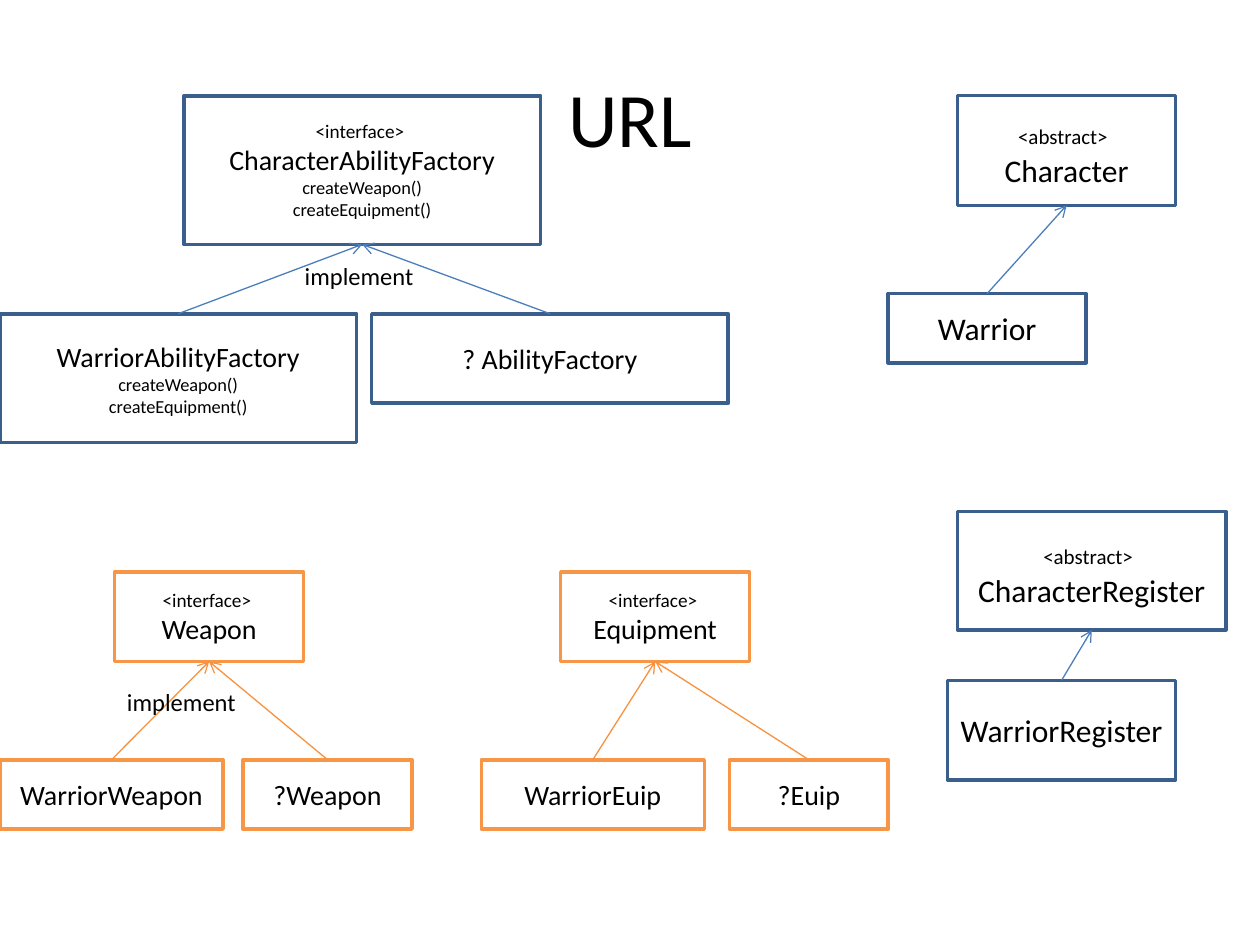
from dataclasses import dataclass

from pptx import Presentation
from pptx.dml.color import RGBColor
from pptx.enum.shapes import MSO_CONNECTOR, MSO_SHAPE
from pptx.enum.text import MSO_ANCHOR, MSO_AUTO_SIZE, PP_ALIGN
from pptx.oxml.ns import qn
from pptx.util import Inches, Pt
from lxml.etree import SubElement


@dataclass(frozen=True)
class Palette:
    """Colours of one family of boxes."""
    outline: str
    arrow: str
    fill: str | None = None


@dataclass(frozen=True)
class Theme:
    """Colours, font and type sizes of the slide."""
    factory: Palette = Palette("3A5F8C", "4B7EBC")
    item: Palette = Palette("F79646", "F69240", "FFFFFF")
    text: str = "000000"
    font: str = "Calibri"
    title: float = 44
    character: float = 18
    name: float = 16
    label: float = 14
    abstract: float = 12
    interface: float = 11
    method: float = 10.5


THEME = Theme()
INTERFACE = [("<interface> ", THEME.interface)]
ABSTRACT = [("<abstract>", THEME.abstract), (" ", THEME.character)]
METHODS = [[("createWeapon()", THEME.method)], [("createEquipment()", THEME.method)]]


def format_run(run, size):
    """Apply the theme font to a run."""
    run.font.size = Pt(size)
    run.font.name = THEME.font
    run.font.color.rgb = RGBColor.from_string(THEME.text)


def named(text, size=THEME.name):
    """Return a line made of a single run."""
    return [(text, size)]


def add_title(slide, text):
    """Place and format the slide title."""
    title = slide.shapes.title
    title.left, title.top = Inches(0.5), Inches(0.3)
    title.width, title.height = Inches(9), Inches(1.25)
    title.text_frame.text = text
    title.text_frame.vertical_anchor = MSO_ANCHOR.MIDDLE
    paragraph = title.text_frame.paragraphs[0]
    paragraph.alignment = PP_ALIGN.CENTER
    format_run(paragraph.runs[0], THEME.title)


def add_class_box(slide, palette, bounds, lines):
    """Add an outlined class box with centred lines of text."""
    shape = slide.shapes.add_shape(MSO_SHAPE.FLOWCHART_PROCESS, *map(Inches, bounds))
    shape.shadow.inherit = False
    if palette.fill:
        shape.fill.solid()
        shape.fill.fore_color.rgb = RGBColor.from_string(palette.fill)
    else:
        shape.fill.background()
    shape.line.color.rgb = RGBColor.from_string(palette.outline)
    shape.line.width = Pt(2)
    text_frame = shape.text_frame
    text_frame.word_wrap = True
    text_frame.vertical_anchor = MSO_ANCHOR.MIDDLE
    for index, line in enumerate(lines):
        paragraph = text_frame.add_paragraph() if index else text_frame.paragraphs[0]
        paragraph.alignment = PP_ALIGN.CENTER
        for text, size in line:
            run = paragraph.add_run()
            run.text = text
            format_run(run, size)
    return shape


def add_inheritance(slide, palette, child, parent):
    """Draw an arrow from the top of a child to the bottom of its parent."""
    connector = slide.shapes.add_connector(MSO_CONNECTOR.STRAIGHT, 0, 0, 0, 0)
    connector.begin_connect(child, 0)
    connector.end_connect(parent, 2)
    connector.line.color.rgb = RGBColor.from_string(palette.arrow)
    connector.line.width = Pt(0.75)
    SubElement(connector.line._get_or_add_ln(), qn("a:tailEnd"), type="arrow")
    SubElement(connector._element.spPr, qn("a:effectLst"))


def add_family(slide, palette, parent, children):
    """Add a parent box and the child boxes that point to it."""
    parent_box = add_class_box(slide, palette, *parent)
    for child in children:
        child_box = add_class_box(slide, palette, *child)
        add_inheritance(slide, palette, child_box, parent_box)


def add_label(slide, left, top, text):
    """Add a free label beside the arrows."""
    box = slide.shapes.add_textbox(Inches(left), Inches(top), Inches(1.07), Inches(0.34))
    text_frame = box.text_frame
    text_frame.text = text
    text_frame.word_wrap = False
    text_frame.auto_size = MSO_AUTO_SIZE.SHAPE_TO_FIT_TEXT
    format_run(text_frame.paragraphs[0].runs[0], THEME.label)


def main():
    """Build and save the class diagram."""
    presentation = Presentation()
    presentation.slide_width, presentation.slide_height = Inches(10), Inches(7.5)
    slide = presentation.slides.add_slide(presentation.slide_layouts[5])
    add_title(slide, "URL")

    families = [
        (THEME.factory,
         ((1.46, 0.76, 2.83, 1.18), [INTERFACE, named("CharacterAbilityFactory"), *METHODS]),
         [((0, 2.49, 2.83, 1.02), [named("WarriorAbilityFactory"), *METHODS]),
          ((2.95, 2.49, 2.83, 0.71), [named("? AbilityFactory")])]),
        (THEME.item,
         ((0.91, 4.54, 1.5, 0.71), [INTERFACE, named("Weapon")]),
         [((0, 6.03, 1.77, 0.55), [named("WarriorWeapon")]),
          ((1.93, 6.03, 1.34, 0.55), [named("?Weapon")])]),
        (THEME.item,
         ((4.45, 4.54, 1.5, 0.71), [INTERFACE, named("Equipment")]),
         [((3.82, 6.03, 1.77, 0.55), [named("WarriorEuip")]),
          ((5.79, 6.03, 1.26, 0.55), [named("?Euip")])]),
        (THEME.factory,
         ((7.6, 0.76, 1.73, 0.87), [ABSTRACT, named("Character", THEME.character)]),
         [((7.05, 2.33, 1.57, 0.55), [named("Warrior", THEME.character)])]),
        (THEME.factory,
         ((7.6, 4.06, 2.13, 0.94), [ABSTRACT, named("CharacterRegister", THEME.character)]),
         [((7.52, 5.4, 1.81, 0.79), [named("WarriorRegister", THEME.character)])]),
    ]
    for palette, parent, children in families:
        add_family(slide, palette, parent, children)

    for left, top in ((2.32, 2.02), (0.91, 5.4)):
        add_label(slide, left, top, "implement")

    presentation.save("out.pptx")


if __name__ == "__main__":
    main()
